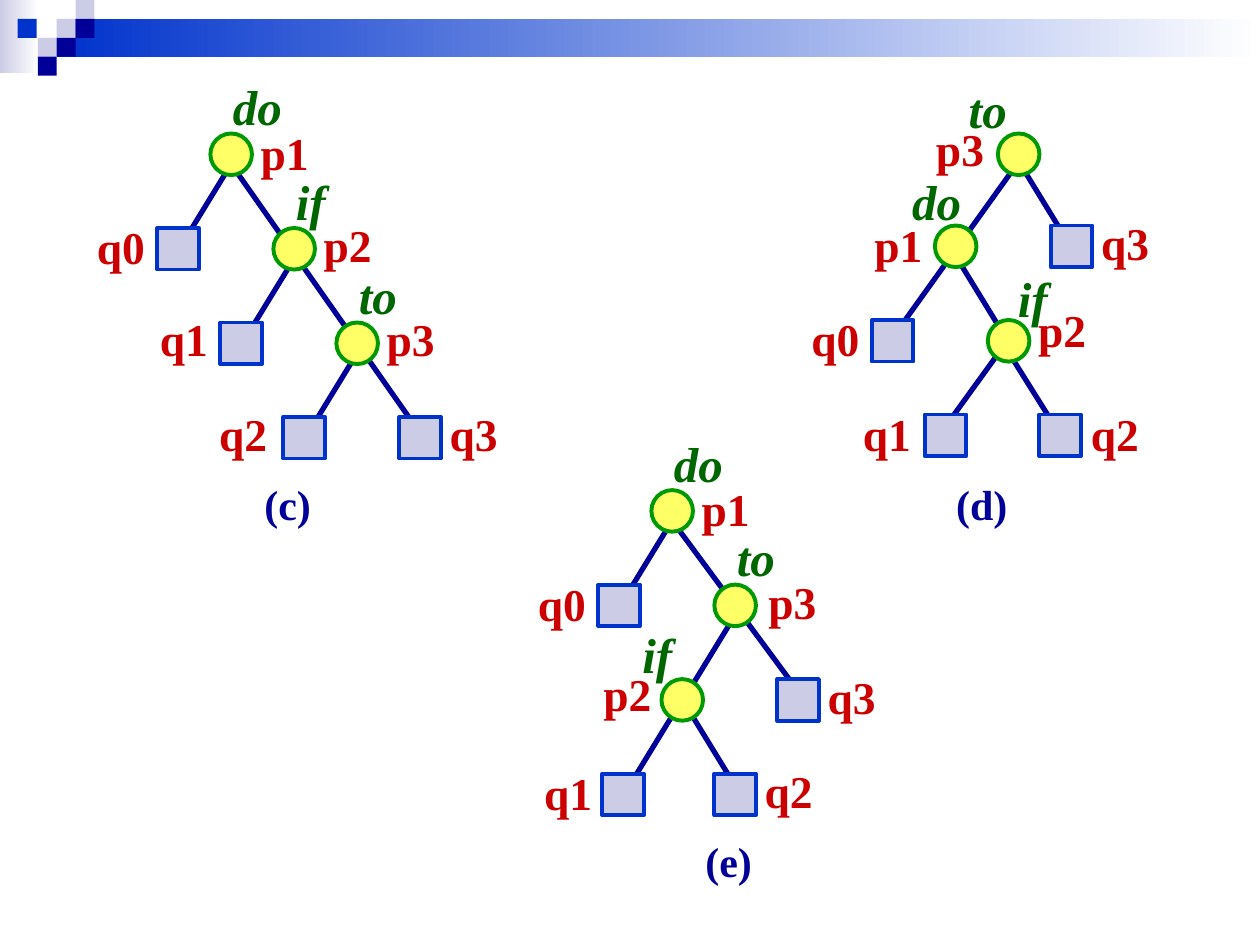
from pptx import Presentation
from pptx.dml.color import RGBColor
from pptx.enum.shapes import MSO_CONNECTOR as Connector, MSO_SHAPE as Shape
from pptx.enum.text import MSO_AUTO_SIZE as AutoSize
from pptx.oxml.ns import qn
from pptx.util import Pt
from lxml.etree import SubElement

PX = 9144  # 100 px to the inch
NODE = 33
TILE = 15
COLORS = {
    "navy": "000099", "blue": "0033CC", "lavender": "CCCCE6", "white": "FFFFFF",
    "yellow": "FFFF66", "green": "009900", "keyword": "006600", "red": "CC0000",
}
# Text style: size in points, colour, italic, box height
STYLES = {
    "keyword": (28, "keyword", True, 57),
    "name": (26, "red", False, 54),
    "caption": (24, "navy", False, 50),
}
KEYWORD_WIDTHS = {"do": 59, "if": 44, "to": 50}

# Edges: x1, y1, x2, y2; a long edge passes behind the nodes on its way.
# Nodes and keywords: text, left, top; nodes also have their label's left, top.
TREES = [
    {
        "edges": [(183, 131, 142, 198), (233, 206, 192, 273),
                  (283, 281, 242, 348), (184, 131, 342, 356)],
        "nodes": [("p1", 167, 106, 197, 94), ("p2", 217, 181, 247, 167),
                  ("p3", 267, 256, 297, 242), ("q0", 125, 181, 67, 169),
                  ("q1", 175, 256, 117, 242), ("q2", 225, 331, 164, 317),
                  ("q3", 317, 331, 347, 317)],
        "keywords": [("do", 175, 56), ("if", 225, 131), ("to", 275, 206)],
        "caption": ("(c)", 200, 375, 57),
    },
    {
        "edges": [(809, 129, 850, 196), (759, 204, 800, 271), (800, 279, 842, 346),
                  (808, 129, 717, 256), (792, 281, 750, 339)],
        "nodes": [("p3", 792, 106, 733, 91), ("p1", 742, 179, 684, 167),
                  ("p2", 784, 254, 814, 235), ("q0", 692, 254, 634, 242),
                  ("q1", 734, 329, 675, 317), ("q2", 825, 329, 856, 317),
                  ("q3", 834, 179, 864, 166)],
        "keywords": [("to", 759, 58), ("do", 714, 131), ("if", 798, 208)],
        "caption": ("(d)", 749, 375, 61),
    },
    {
        "edges": [(533, 414, 492, 481), (583, 489, 542, 556), (536, 564, 495, 631),
                  (534, 414, 633, 548), (542, 556, 583, 623)],
        "nodes": [("p1", 517, 389, 547, 377), ("p3", 567, 464, 600, 451),
                  ("p2", 525, 539, 469, 524), ("q0", 475, 464, 417, 452),
                  ("q1", 478, 614, 422, 602), ("q2", 567, 614, 597, 601),
                  ("q3", 617, 539, 647, 526)],
        "keywords": [("do", 525, 339), ("to", 575, 414), ("if", 500, 491)],
        "caption": ("(e)", 550, 658, 57),
    },
]


def add_block(kind, left, top, width, height, fill, line=None):
    """Add a shape; a pair of fill colours makes a left-to-right gradient."""
    shape = slide.shapes.add_shape(kind, left * PX, top * PX, width * PX, height * PX)
    shape.shadow.inherit = False
    if isinstance(fill, tuple):
        shape.fill.gradient()
        shape.fill.gradient_angle = 0
        for position, (stop, color) in enumerate(zip(shape.fill.gradient_stops, fill)):
            stop.position = position
            stop.color.rgb = RGBColor.from_string(COLORS[color])
    else:
        shape.fill.solid()
        shape.fill.fore_color.rgb = RGBColor.from_string(COLORS[fill])
    if line:
        shape.line.color.rgb = RGBColor.from_string(COLORS[line])
        shape.line.width = Pt(2.25)
    else:
        shape.line.fill.background()


def add_label(text, left, top, width, style):
    size, color, italic, height = STYLES[style]
    box = slide.shapes.add_textbox(left * PX, top * PX, width * PX, height * PX)
    box.text_frame.word_wrap = False
    box.text_frame.auto_size = AutoSize.SHAPE_TO_FIT_TEXT
    paragraph = box.text_frame.paragraphs[0]
    paragraph.text = text
    font = paragraph.font
    font.name, font.size, font.bold, font.italic = "Times New Roman", Pt(size), True, italic
    font.color.rgb = RGBColor.from_string(COLORS[color])


presentation = Presentation()
presentation.slide_width = 1000 * PX
presentation.slide_height = 750 * PX
slide = presentation.slides.add_slide(presentation.slide_layouts[6])

# Header band and its mosaic of tiles
add_block(Shape.RECTANGLE, 0, 0, 31, 58, ("lavender", "white"))
add_block(Shape.RECTANGLE, 45, 15, 955, 30, ("blue", "white"))
tiles = [
    (45, 15, "lavender"), (60, 0, "lavender"), (60, 15, "navy"), (30, 30, "lavender"),
    (14, 15, "blue"), (45, 30, "navy"), (30, 45, "navy"),
]
for left, top, color in tiles:
    add_block(Shape.RECTANGLE, left, top, TILE, TILE, color)

# Search trees: p nodes are keys, q nodes are leaves
for tree in TREES:
    for edge in tree["edges"]:
        connector = slide.shapes.add_connector(
            Connector.STRAIGHT, *[length * PX for length in edge])
        connector.line.color.rgb = RGBColor.from_string(COLORS["navy"])
        connector.line.width = Pt(3)
        SubElement(connector._element.spPr, qn("a:effectLst"))
    for name, left, top, label_left, label_top in tree["nodes"]:
        if name.startswith("p"):
            add_block(Shape.OVAL, left, top, NODE, NODE, "yellow", "green")
        else:
            add_block(Shape.RECTANGLE, left, top, NODE, NODE, "lavender", "blue")
        add_label(name, label_left, label_top, 58, "name")
    for keyword, left, top in tree["keywords"]:
        add_label(keyword, left, top, KEYWORD_WIDTHS[keyword], "keyword")
    add_label(*tree["caption"], "caption")

presentation.save("out.pptx")
